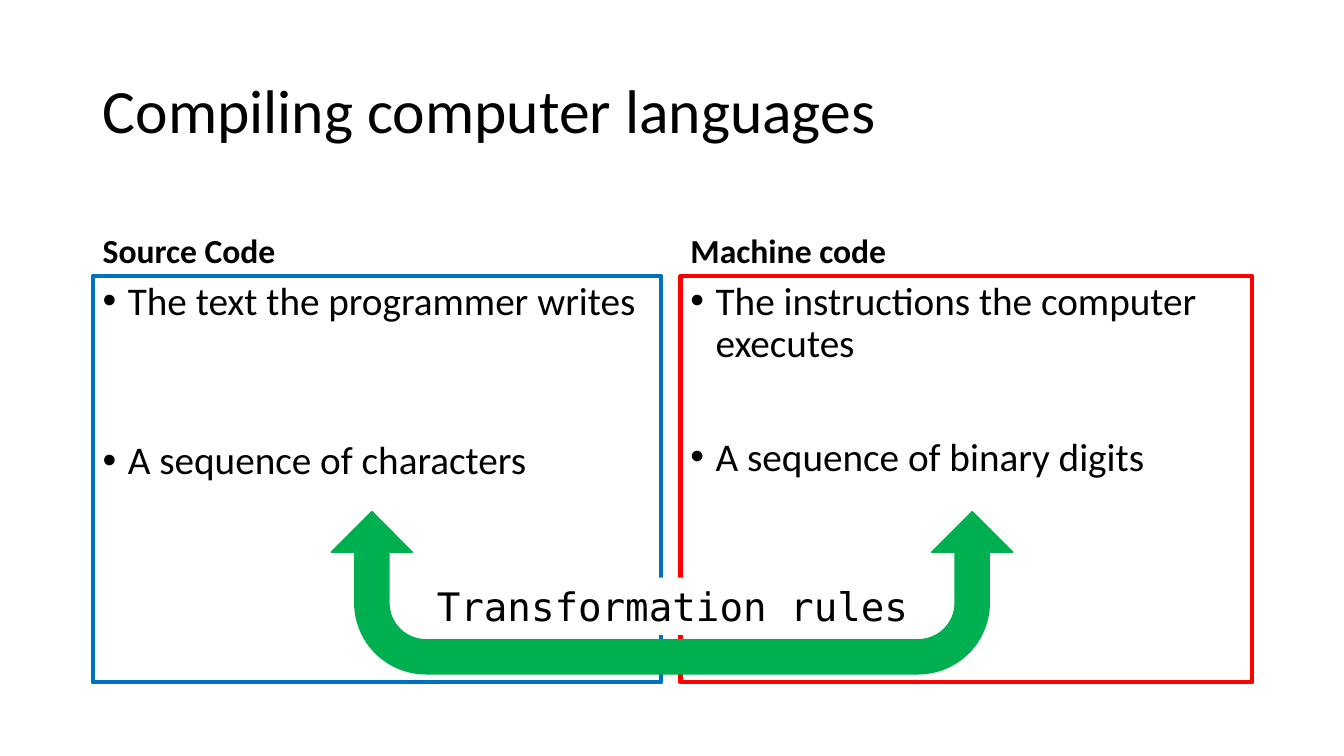
"""Build the slide that compares source code with machine code."""
from dataclasses import dataclass

import pptx
import pptx.dml.color
import pptx.enum.shapes
import pptx.enum.text
import pptx.oxml
import pptx.oxml.ns
import pptx.util

Inches = pptx.util.Inches
Pt = pptx.util.Pt
RGBColor = pptx.dml.color.RGBColor
MSO_SHAPE = pptx.enum.shapes.MSO_SHAPE
ANCHOR = pptx.enum.text.MSO_ANCHOR
ALIGN = pptx.enum.text.PP_ALIGN

BLACK = RGBColor(0x00, 0x00, 0x00)
WHITE = RGBColor(0xFF, 0xFF, 0xFF)
BLUE = RGBColor(0x00, 0x70, 0xC0)
RED = RGBColor(0xFF, 0x00, 0x00)
GREEN = RGBColor(0x00, 0xB0, 0x50)

TITLE_FONT = {"name": "Calibri", "size": Pt(44), "bold": False}
HEADING_FONT = {"name": "Calibri", "size": Pt(24), "bold": True}
BULLET_FONT = {"name": "Calibri", "size": Pt(28), "bold": False}
RULES_FONT = {"name": "DejaVu Sans Mono", "size": Pt(28), "bold": False}
BODY_PARAGRAPH = {"alignment": ALIGN.LEFT, "line_spacing": 0.9, "space_before": Pt(10)}

HEADING_TOP, HEADING_HEIGHT = 1.84, 0.9
PANEL_TOP, PANEL_HEIGHT = 2.74, 4.03
ARROW_TOP, ARROW_WIDTH, ARROW_HEIGHT = 4.19, 1.61, 3.38
ARROW_ADJUSTMENTS = (0.21, 0.25, 0.25, 0.438)


@dataclass(frozen=True)
class Column:
    heading: str
    bullets: tuple[str, str]
    left: float
    width: float
    color: RGBColor
    bullet_gap: float


@dataclass(frozen=True)
class Arrow:
    left: float
    rotation: int
    flips: tuple[str, ...]


COLUMNS = (
    Column("Source Code", ("The text the programmer writes", "A sequence of characters"),
           0.92, 5.64, BLUE, 84),
    Column("Machine code", ("The instructions the computer executes", "A sequence of binary digits"),
           6.75, 5.67, RED, 51),
)
ARROWS = (Arrow(7.55, 270, ("flipV",)), Arrow(4.17, 90, ("flipH", "flipV")))


def set_values(target, values: dict) -> None:
    for name, value in values.items():
        setattr(target, name, value)


def write(p, text: str, font: dict, paragraph: dict) -> None:
    r = p.add_run()
    r.text = text
    r.font.color.rgb = BLACK
    set_values(r.font, font)
    set_values(p, paragraph)


def add_bullet(p) -> None:
    pPr = p._p.get_or_add_pPr()
    pPr.set("marL", str(Inches(0.25)))
    pPr.set("indent", str(Inches(-0.25)))
    ns = pptx.oxml.ns.nsdecls("a")
    pPr.append(pptx.oxml.parse_xml(f'<a:buFont {ns} typeface="Arial"/>'))
    pPr.append(pptx.oxml.parse_xml(f'<a:buChar {ns} char="•"/>'))


def add_block(s, kind, left: float, top: float, width: float, height: float):
    sp = s.shapes.add_shape(kind, Inches(left), Inches(top), Inches(width), Inches(height))
    sp.shadow.inherit = False
    return sp


def add_title(s, text: str) -> None:
    sp = s.shapes.title
    set_values(sp, {"left": Inches(0.92), "top": Inches(0.4),
                    "width": Inches(11.5), "height": Inches(1.45)})
    tf = sp.text_frame
    set_values(tf, {"vertical_anchor": ANCHOR.MIDDLE, "word_wrap": True,
                    "auto_size": pptx.enum.text.MSO_AUTO_SIZE.NONE})
    write(tf.paragraphs[0], text, TITLE_FONT, {"alignment": ALIGN.LEFT, "line_spacing": 0.9})


def add_column(s, column: Column) -> None:
    heading = s.shapes.add_textbox(Inches(column.left), Inches(HEADING_TOP),
                                   Inches(column.width), Inches(HEADING_HEIGHT))
    tf = heading.text_frame
    set_values(tf, {"word_wrap": True, "vertical_anchor": ANCHOR.BOTTOM})
    write(tf.paragraphs[0], column.heading, HEADING_FONT, BODY_PARAGRAPH)

    panel = add_block(s, MSO_SHAPE.RECTANGLE, column.left, PANEL_TOP, column.width, PANEL_HEIGHT)
    panel.fill.background()
    panel.line.color.rgb = column.color
    panel.line.width = Pt(3)
    tf = panel.text_frame
    set_values(tf, {"word_wrap": True, "vertical_anchor": ANCHOR.TOP})
    for i, text in enumerate(column.bullets):
        p = tf.add_paragraph() if i else tf.paragraphs[0]
        write(p, text, BULLET_FONT, BODY_PARAGRAPH)
        add_bullet(p)
    p.space_before = Pt(column.bullet_gap)


def add_rules_label(s, text: str) -> None:
    sp = add_block(s, MSO_SHAPE.RECTANGLE, 3.53, 5.73, 6.28, 0.57)
    sp.fill.solid()
    sp.fill.fore_color.rgb = WHITE
    sp.line.fill.background()
    tf = sp.text_frame
    set_values(tf, {"word_wrap": True, "vertical_anchor": ANCHOR.TOP})
    write(tf.paragraphs[0], text, RULES_FONT, {"alignment": ALIGN.CENTER})


def add_arrow(s, arrow: Arrow) -> None:
    sp = add_block(s, MSO_SHAPE.BENT_ARROW, arrow.left, ARROW_TOP, ARROW_WIDTH, ARROW_HEIGHT)
    for i, value in enumerate(ARROW_ADJUSTMENTS):
        sp.adjustments[i] = value
    sp.rotation = arrow.rotation
    for flip in arrow.flips:
        sp.element.spPr.xfrm.set(flip, "1")
    sp.fill.solid()
    sp.fill.fore_color.rgb = GREEN
    sp.line.color.rgb = GREEN
    sp.line.width = Pt(1)


def main() -> None:
    prs = pptx.Presentation()
    prs.slide_width, prs.slide_height = Inches(13.33), Inches(7.5)
    s = prs.slides.add_slide(prs.slide_layouts.get_by_name("Title Only"))
    add_title(s, "Compiling computer languages")
    for column in COLUMNS:
        add_column(s, column)
    add_rules_label(s, "Transformation rules")
    for arrow in ARROWS:
        add_arrow(s, arrow)
    prs.save("out.pptx")


if __name__ == "__main__":
    main()
